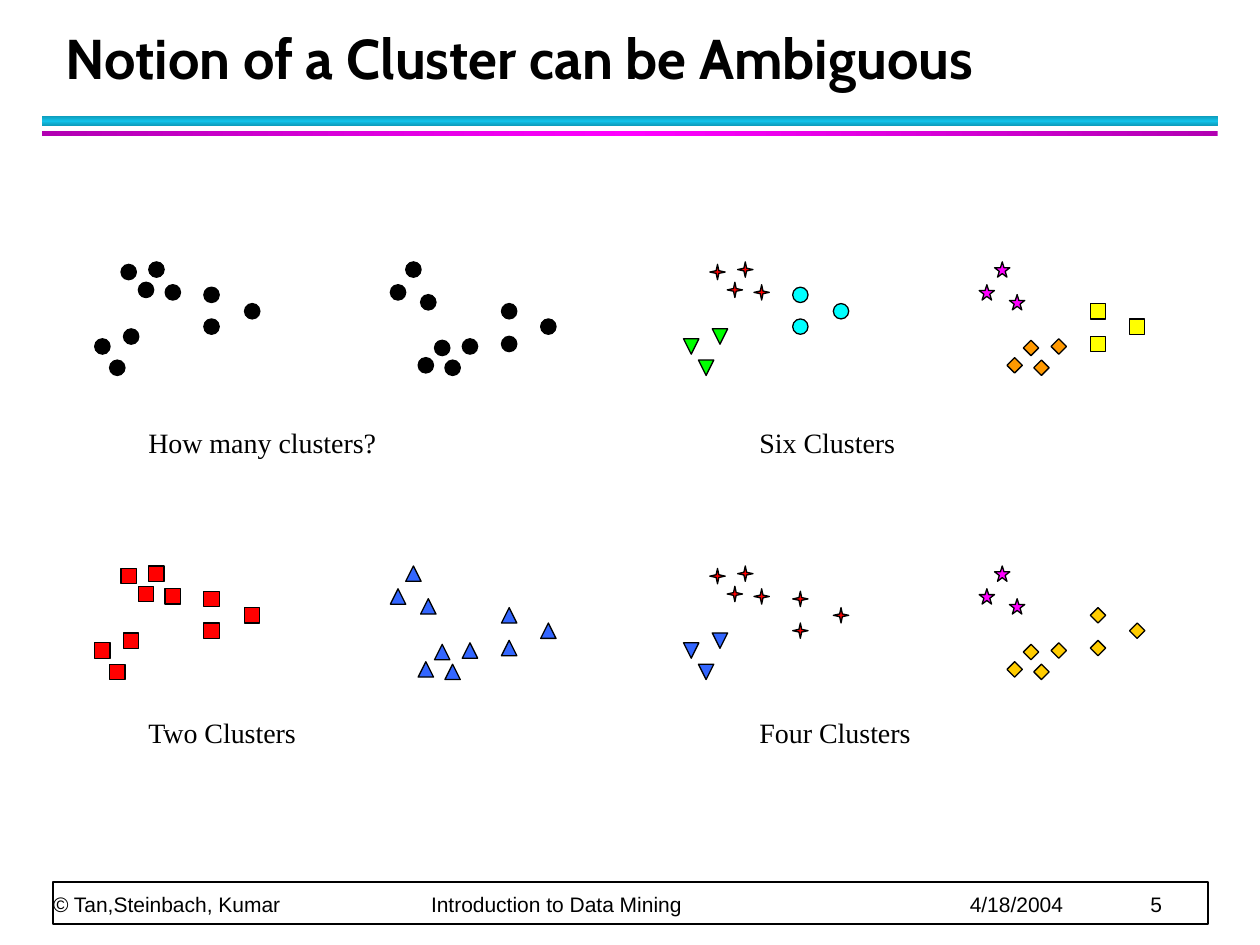
import copy

import pptx
import pptx.util
import pptx.dml.color
import pptx.enum.shapes
import pptx.enum.text
from lxml import etree

Cm = pptx.util.Cm
Pt = pptx.util.Pt
RGB = pptx.dml.color.RGBColor
FORM = pptx.enum.shapes.MSO_SHAPE
ANCHOR = pptx.enum.text.MSO_ANCHOR

BLACK = RGB(0x00, 0x00, 0x00)
WHITE = RGB(0xFF, 0xFF, 0xFF)
RED = RGB(0xFF, 0x00, 0x00)
BLUE = RGB(0x33, 0x66, 0xFF)
GREEN = RGB(0x00, 0xFF, 0x00)
CYAN = RGB(0x00, 0xFF, 0xFF)
PINK = RGB(0xFF, 0x00, 0xFF)
ORANGE = RGB(0xFF, 0x99, 0x00)
GOLD = RGB(0xFF, 0xCC, 0x00)
YELLOW = RGB(0xFF, 0xFF, 0x00)
TEAL = RGB(0x0E, 0x9B, 0xBA)
AQUA = RGB(0x12, 0xC2, 0xE9)
PURPLE = RGB(0xB2, 0x00, 0xB2)

TITLE = "Notion of a Cluster can be Ambiguous"
FOOTER = ["© Tan,Steinbach, Kumar", "Introduction to Data Mining", "4/18/2004", "5"]
STOPS = [7.62, 18.48, 22.12]

BARS = [
    (2.34, 0.2, TEAL, AQUA, 90),
    (2.64, 0.1, PURPLE, PINK, 0),
]

POINTS = [
    [(2.44, 5.33), (3.0, 5.28), (2.79, 5.69), (3.33, 5.74)],
    [(2.49, 6.63), (1.91, 6.83), (2.21, 7.26)],
    [(4.11, 5.79), (4.93, 6.12), (4.11, 6.43)],
    [(8.48, 5.94), (7.87, 5.74), (8.18, 5.28)],
    [(9.32, 6.83), (8.43, 7.21), (8.97, 7.26), (8.76, 6.86)],
    [(10.11, 6.78), (10.9, 6.43), (10.11, 6.12)],
]

DOT = (FORM.OVAL, BLACK)
SQUARE = (FORM.RECTANGLE, RED)
PEAK = (FORM.ISOSCELES_TRIANGLE, BLUE)
SPARK = (FORM.STAR_4_POINT, RED)
STAR = (FORM.STAR_5_POINT, PINK)
GEM = (FORM.DIAMOND, GOLD)

PANELS = [
    ("How many clusters?", 0, 0, [DOT] * 6),
    ("Six Clusters", 1, 0, [
        SPARK, (FORM.FLOWCHART_MERGE, GREEN), (FORM.OVAL, CYAN),
        STAR, (FORM.DIAMOND, ORANGE), (FORM.RECTANGLE, YELLOW)]),
    ("Two Clusters", 0, 1, [SQUARE] * 3 + [PEAK] * 3),
    ("Four Clusters", 1, 1, [
        SPARK, (FORM.FLOWCHART_MERGE, BLUE), SPARK, STAR, GEM, GEM]),
]

MARK = 0.31
STEP_X, STEP_Y = 11.87, 6.13
LABEL_X, LABEL_Y = 2.74, 8.46
LABEL_DX, LABEL_DY = 12.32, 5.84


def add_form(slide, kind, x, y, w, h, fill=None, line=None):
    shape = slide.shapes.add_shape(kind, Cm(x), Cm(y), Cm(w), Cm(h))
    shape.shadow.inherit = False
    if fill is not None:
        shape.fill.solid()
        shape.fill.fore_color.rgb = fill
    if line:
        shape.line.color.rgb = BLACK
        shape.line.width = Pt(line)
    else:
        shape.line.fill.background()
    return shape


def add_bar(slide, y, h, edge, mid, angle):
    fill = add_form(slide, FORM.RECTANGLE, 0.85, y, 23.7, h).fill
    fill.gradient()
    fill.gradient_angle = angle
    first = fill.gradient_stops[0]._gs
    first.addnext(copy.deepcopy(first))
    for stop, place, color in zip(fill.gradient_stops, (0, 0.5, 1), (edge, mid, edge)):
        stop.position = place
        stop.color.rgb = color


def add_text(slide, text, x, y, w, h, font, size, bold=False, space=None,
             anchor=ANCHOR.TOP):
    box = slide.shapes.add_textbox(Cm(x), Cm(y), Cm(w), Cm(h))
    frame = box.text_frame
    frame.word_wrap = True
    frame.vertical_anchor = anchor
    frame.text = text
    para = frame.paragraphs[0]
    if space:
        para.line_spacing = Pt(space)
    for run in para.runs:
        run.font.name = font
        run.font.size = Pt(size)
        run.font.bold = bold
        run.font.color.rgb = BLACK
    return frame


def add_footer(slide):
    add_form(slide, FORM.RECTANGLE, 1.07, 17.78, 23.28, 0.85, WHITE, 1)
    frame = add_text(slide, "\t".join(FOOTER), 1.07, 17.07, 23.24, 1.42,
                     "Arial", 12, space=20, anchor=ANCHOR.BOTTOM)
    frame.margin_left = frame.margin_right = 0
    frame.margin_top = frame.margin_bottom = 0
    props = frame.paragraphs[0]._p.get_or_add_pPr()
    space = "{http://schemas.openxmlformats.org/drawingml/2006/main}"
    tabs = etree.SubElement(props, space + "tabLst")
    for stop in STOPS:
        etree.SubElement(tabs, space + "tab", pos=str(Cm(stop)), algn="l")


def add_panel(slide, label, col, row, styles):
    for group, (kind, color) in zip(POINTS, styles):
        for x, y in group:
            add_form(slide, kind, x + col * STEP_X, y + row * STEP_Y,
                     MARK, MARK, color, 0.75)
    add_text(slide, label, LABEL_X + col * LABEL_DX, LABEL_Y + row * LABEL_DY,
             6.35, 0.94, "Times New Roman", 16)


def main():
    deck = pptx.Presentation()
    deck.slide_width, deck.slide_height = Cm(25.4), Cm(19.05)
    slide = deck.slides.add_slide(deck.slide_layouts[6])
    for bar in BARS:
        add_bar(slide, *bar)
    add_footer(slide)
    add_text(slide, TITLE, 1.07, 0.43, 23.01, 1.52, "Cabin", 32, True, 36,
             ANCHOR.BOTTOM)
    for panel in PANELS:
        add_panel(slide, *panel)
    deck.save("out.pptx")


if __name__ == "__main__":
    main()
